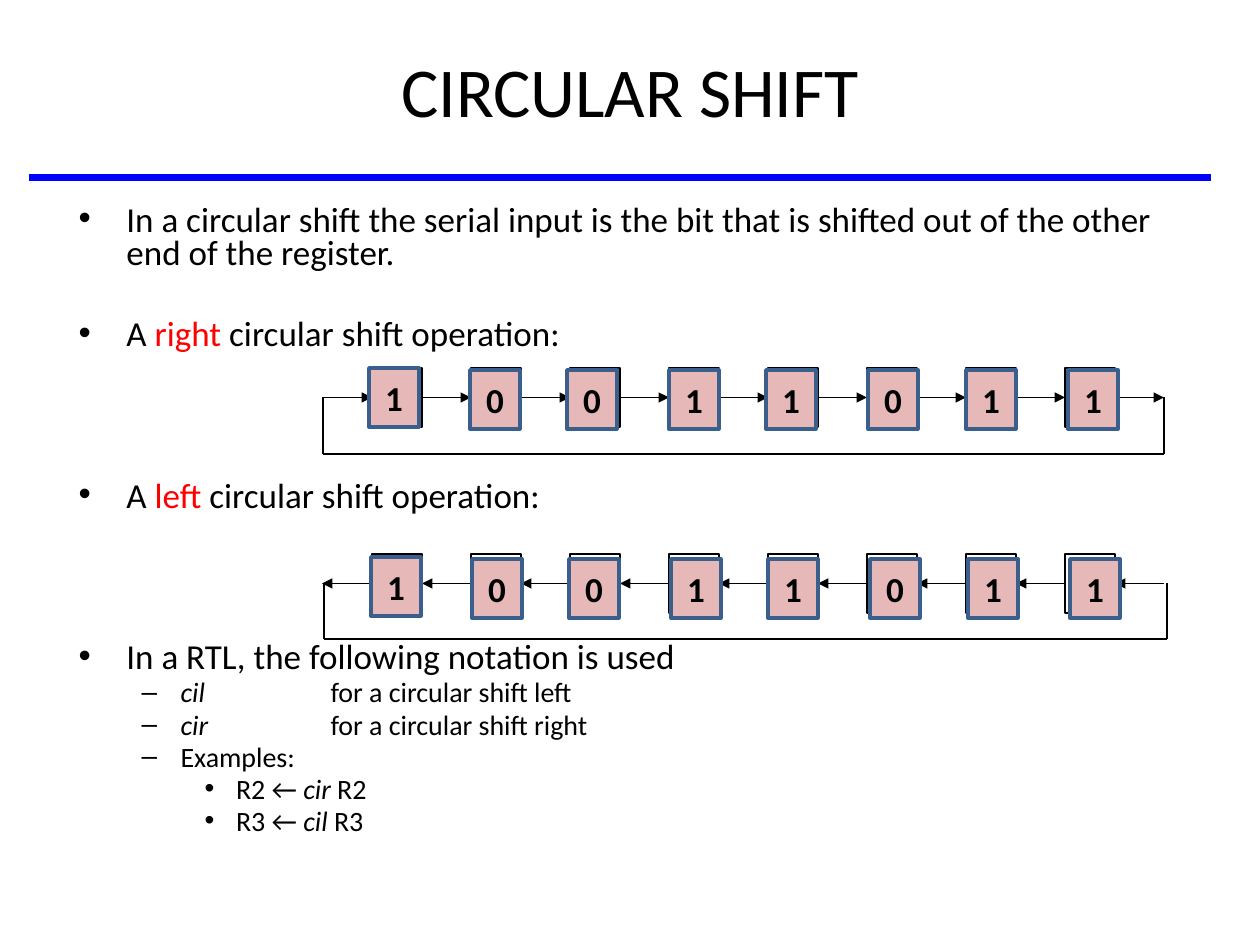
from pptx import Presentation
from pptx.dml.color import RGBColor
from pptx.enum.shapes import MSO_CONNECTOR, MSO_SHAPE
from pptx.enum.text import MSO_ANCHOR, MSO_AUTO_SIZE, PP_ALIGN
from pptx.oxml.ns import qn
from pptx.util import Inches, Pt
from lxml.etree import SubElement

COLORS = {"ink": "000000", "accent": "FF0000", "rule": "0000FF",
          "bit": "E6B9B8", "bit_edge": "3A5F8C"}
FONT = "Calibri"

TITLE = "CIRCULAR SHIFT"
# (level, space before in points, runs of (text, style))
BODY = [
    (0, 0, [("In a circular shift the serial input is the bit that is shifted "
             "out of the other end of the register.", "")]),
    (0, 27, [("A ", ""), ("right", "accent"), (" circular shift operation:", "")]),
    (0, 73, [("A ", ""), ("left", "accent"), (" circular shift operation:", "")]),
    (0, 73, [("In a RTL, the following notation is used", "")]),
    (1, 3, [("cil", "italic"), ("\tfor a circular shift left", "")]),
    (1, 3, [("cir", "italic"), ("\tfor a circular shift right", "")]),
    (1, 3, [("Examples:", "")]),
    (2, 3, [("R2 ← ", ""), ("cir", "italic"), (" R2", "")]),
    (2, 3, [("R3 ← ", ""), ("cil", "italic"), (" R3", "")]),
]
# Per level: left margin and hanging indent in inches, text size in points
LEVELS = [(0.38, -0.38, 20), (0.81, -0.31, 16), (1.25, -0.25, 16)]
NOTATION_TAB = 2

BITS = "10011011"
BIT_LEFTS = [369, 470, 567, 669, 766, 868, 966, 1068]
CELL_LEFT, CELL_PITCH, CELL_W, CELL_H = 372, 99, 50, 59
ARROW_REACH = 50
# The two registers, right shift first
REGISTERS = [
    {"shift": "right", "cell_top": 368, "bit_top": 370, "bit_dx": 0,
     "loop": (323, 1164), "loop_bottom": 454},
    {"shift": "left", "cell_top": 554, "bit_top": 559, "bit_dx": 2,
     "loop": (324, 1167), "loop_bottom": 639},
]


def px(count):
    return round(count * 914400 / 126)


def rgb(name):
    return RGBColor.from_string(COLORS[name])


def place(shape, left, top, width, height):
    shape.left, shape.top = px(left), px(top)
    shape.width, shape.height = px(width), px(height)


def add_run(paragraph, text, size, color="ink", bold=None, italic=None):
    run = paragraph.add_run()
    run.text = text
    font = run.font
    font.name, font.size = FONT, Pt(size)
    font.bold, font.italic = bold, italic
    font.color.rgb = rgb(color)


def add_line(shapes, start, end, color="ink", width=1, arrow=False):
    line = shapes.add_connector(MSO_CONNECTOR.STRAIGHT, *map(px, start + end))
    line.line.color.rgb = rgb(color)
    line.line.width = Pt(width)
    if arrow:
        SubElement(line.line._get_or_add_ln(), qn("a:tailEnd"), type="triangle")
    SubElement(line._element.spPr, qn("a:effectLst"))
    return line


def add_box(shapes, left, top, edge, width, fill=None):
    box = shapes.add_shape(MSO_SHAPE.RECTANGLE,
                           *map(px, (left, top, CELL_W, CELL_H)))
    box.shadow.inherit = False
    box.line.color.rgb = rgb(edge)
    box.line.width = Pt(width)
    if fill:
        box.fill.solid()
        box.fill.fore_color.rgb = rgb(fill)
    else:
        box.fill.background()
    return box


def add_title(slide):
    title = slide.shapes.title
    place(title, 0, 0, 1260, 179)
    title.text_frame.vertical_anchor = MSO_ANCHOR.MIDDLE
    paragraph = title.text_frame.paragraphs[0]
    paragraph.alignment = PP_ALIGN.CENTER
    add_run(paragraph, TITLE, 40)


def add_body(slide):
    body = slide.placeholders[1]
    place(body, 66, 199, 1101, 683)
    frame = body.text_frame
    frame.auto_size = MSO_AUTO_SIZE.NONE
    for index, (level, before, runs) in enumerate(BODY):
        paragraph = frame.add_paragraph() if index else frame.paragraphs[0]
        margin, indent, size = LEVELS[level]
        paragraph.level = level
        paragraph.line_spacing = 0.8
        paragraph.space_before = Pt(before)
        properties = paragraph._p.get_or_add_pPr()
        properties.set("marL", str(Inches(margin)))
        properties.set("indent", str(Inches(indent)))
        if any("\t" in text for text, _ in runs):
            tabs = SubElement(properties, qn("a:tabLst"))
            SubElement(tabs, qn("a:tab"), pos=str(Inches(NOTATION_TAB)), algn="l")
        for text, style in runs:
            add_run(paragraph, text, size,
                    color="accent" if style == "accent" else "ink",
                    italic=style == "italic")


def add_register(slide, register):
    """Draw the cells, the arrows between them and the feedback loop."""
    shapes = slide.shapes.add_group_shape().shapes
    top = register["cell_top"]
    middle = top + CELL_H / 2
    cells = [add_box(shapes, CELL_LEFT + i * CELL_PITCH, top, "ink", 1)
             for i in range(len(BITS))]
    rightward = register["shift"] == "right"
    for i in range(len(cells) + 1):
        right = CELL_LEFT + i * CELL_PITCH
        ends = [(right - ARROW_REACH, middle), (right, middle)]
        joints = [(cells[i - 1], 3) if i else None,
                  (cells[i], 1) if i < len(cells) else None]
        if not rightward:
            ends.reverse()
            joints.reverse()
        arrow = add_line(shapes, *ends, arrow=True)
        if joints[0]:
            arrow.begin_connect(*joints[0])
        if joints[1]:
            arrow.end_connect(*joints[1])

    left, right = register["loop"]
    bottom = register["loop_bottom"]
    add_line(shapes, (left, bottom), (left, middle))
    add_line(shapes, (right, bottom), (right, middle))
    add_line(shapes, (left, bottom), (right, bottom))


def add_bits(slide, register):
    for i, (bit, left) in enumerate(zip(BITS, BIT_LEFTS)):
        top = register["bit_top"] - (0 if i else 2)
        box = add_box(slide.shapes, left + register["bit_dx"], top,
                      "bit_edge", 2, "bit")
        box.text_frame.vertical_anchor = MSO_ANCHOR.MIDDLE
        paragraph = box.text_frame.paragraphs[0]
        paragraph.alignment = PP_ALIGN.CENTER
        add_run(paragraph, bit, 20, bold=True)


def main():
    deck = Presentation()
    deck.slide_width, deck.slide_height = Inches(10), Inches(7.5)
    slide = deck.slides.add_slide(deck.slide_layouts[1])
    add_title(slide)
    add_body(slide)
    add_line(slide.shapes, (29, 178), (1211, 178), "rule", 4)
    for register in REGISTERS:
        add_register(slide, register)
    for register in REGISTERS:
        add_bits(slide, register)
    deck.save("out.pptx")


if __name__ == "__main__":
    main()
